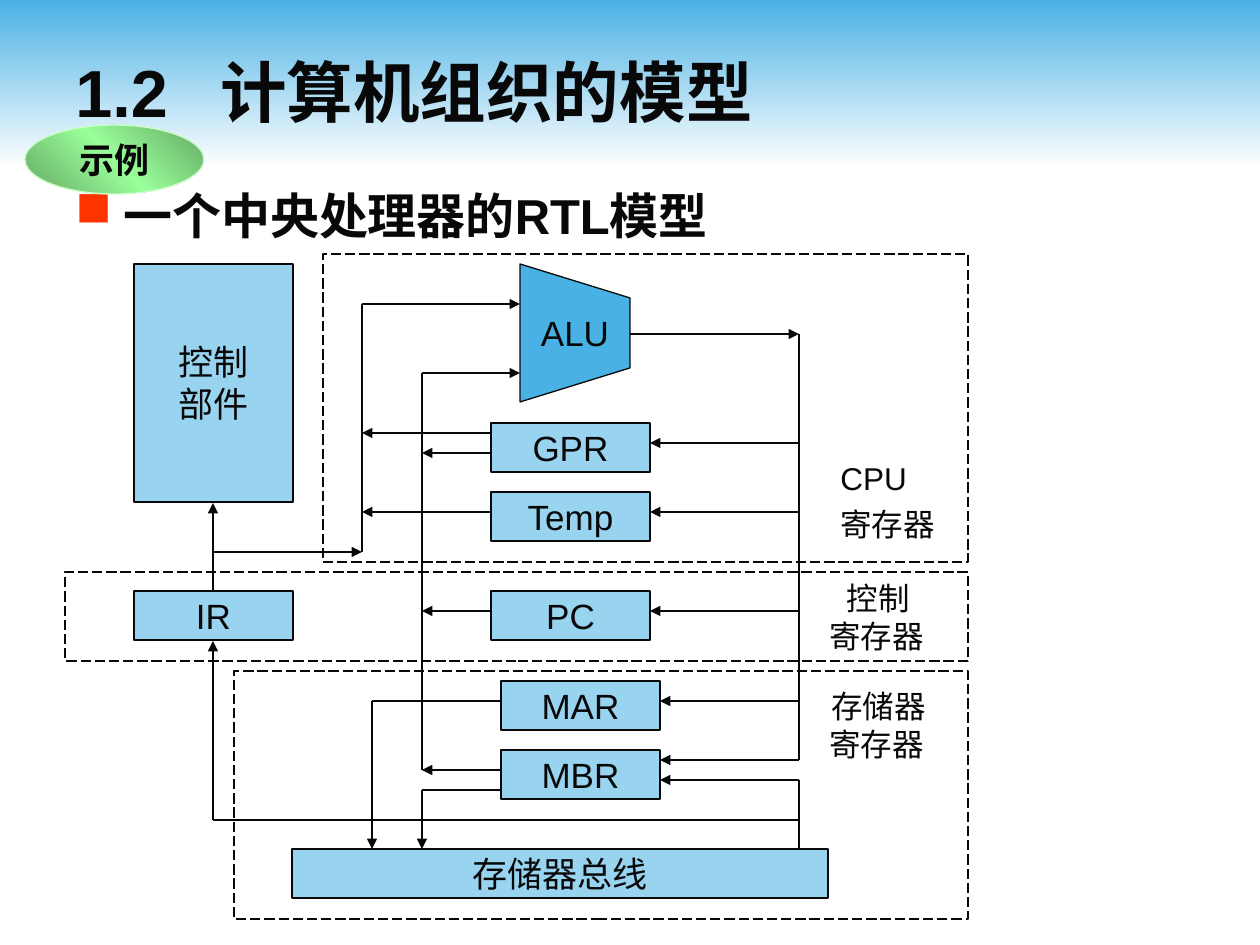
from pptx import Presentation
from pptx.dml.color import RGBColor
from pptx.enum.dml import MSO_LINE
from pptx.enum.shapes import MSO_CONNECTOR, MSO_SHAPE
from pptx.enum.text import MSO_ANCHOR, PP_ALIGN
from pptx.oxml import parse_xml
from pptx.oxml.ns import nsdecls
from pptx.util import Pt

SCALE = 914400 / 126
INK, PALE, BLUE, WHITE = "080808", "98D3F0", "4AB1E4", "FFFFFF"
LEFT_BUS, RIGHT_BUS, RESULT_BUS, IR_X, MAR_X = 362, 422, 799, 213, 372
REGISTER_SIZE = (159, 49)


def px(length):
    """Turn pixels into EMU."""
    return round(length * SCALE)


def color(value):
    """Turn a hex string into a colour."""
    return RGBColor.from_string(value)


def add_xml(parent, markup, index=None):
    """Insert a DrawingML element into a parent, at its end by default."""
    tag, rest = markup[1:].split(" ", 1) if " " in markup else (markup[1:-2], "/>")
    element = parse_xml(f"<{tag} {nsdecls('a')} {rest}")
    parent.insert(len(parent) if index is None else index, element)


def set_gradient(shape, stops, angle):
    """Fill a shape with a linear gradient."""
    stop_xml = "".join(
        f'<a:gs pos="{position * 1000}"><a:srgbClr val="{value}"/></a:gs>'
        for position, value in stops
    )
    markup = (
        f'<a:gradFill rotWithShape="1"><a:gsLst>{stop_xml}</a:gsLst>'
        f'<a:lin ang="{angle * 60000}" scaled="0"/></a:gradFill>'
    )
    add_xml(shape._element.spPr, markup, 2)


def set_outline(shape, value=INK):
    """Give a shape a thin outline and no shadow."""
    shape.shadow.inherit = False
    shape.line.color.rgb = color(value)
    shape.line.width = Pt(0.75)


def format_font(paragraph, size, bold=False, name="Arial"):
    """Style the runs of a paragraph."""
    for run in paragraph.runs:
        run.font.size = Pt(size)
        run.font.bold = bold
        run.font.name = name
        run.font.color.rgb = color(INK)


def set_caption(shape, text, **font):
    """Write centred, unwrapped text in a shape."""
    frame = shape.text_frame
    frame.text = text
    frame.word_wrap = False
    frame.vertical_anchor = MSO_ANCHOR.MIDDLE
    for paragraph in frame.paragraphs:
        paragraph.alignment = PP_ALIGN.CENTER
        format_font(paragraph, 20, **font)


def add_preset(slide, preset, left, top, width, height):
    """Add a preset shape placed in pixels."""
    return slide.shapes.add_shape(preset, px(left), px(top), px(width), px(height))


def add_block(slide, text, left, top, width, height):
    """Add a pale captioned block."""
    block = add_preset(slide, MSO_SHAPE.RECTANGLE, left, top, width, height)
    block.fill.solid()
    block.fill.fore_color.rgb = color(PALE)
    set_outline(block)
    set_caption(block, text)


def add_alu(slide):
    """Add the ALU trapezoid."""
    builder = slide.shapes.build_freeform(520, 402, scale=SCALE)
    builder.add_line_segments([(520, 264), (630, 298), (630, 368)], close=True)
    alu = builder.convert_to_shape()
    alu.fill.solid()
    alu.fill.fore_color.rgb = color(BLUE)
    set_outline(alu)
    set_caption(alu, "ALU")


def add_wire(slide, start, end, arrow=True):
    """Add a straight wire, with an arrowhead at its end by default."""
    points = [px(value) for value in (*start, *end)]
    wire = slide.shapes.add_connector(MSO_CONNECTOR.STRAIGHT, *points)
    wire.line.color.rgb = color(INK)
    wire.line.width = Pt(0.75)
    if arrow:
        add_xml(wire.line._get_or_add_ln(), '<a:tailEnd type="triangle"/>')
    add_xml(wire._element.spPr, "<a:effectLst/>")


def add_frame(slide, left, top, width, height):
    """Add a dashed frame around a group of registers."""
    frame = add_preset(slide, MSO_SHAPE.RECTANGLE, left, top, width, height)
    frame.fill.background()
    set_outline(frame)
    frame.line.dash_style = MSO_LINE.LONG_DASH


def add_text(slide, text, left, top, width, height, size, bold=False):
    """Add a wrapping text box and return its text frame."""
    box = slide.shapes.add_textbox(px(left), px(top), px(width), px(height))
    frame = box.text_frame
    frame.word_wrap = True
    frame.text = text
    for paragraph in frame.paragraphs:
        format_font(paragraph, size, bold)
    return frame


def add_headings(slide):
    """Add the title band, the title and the bullet line."""
    band = add_preset(slide, MSO_SHAPE.RECTANGLE, 0, 0, 1260, 168)
    band.shadow.inherit = False
    band.line.fill.background()
    set_gradient(band, [(0, BLUE), (100, WHITE)], 90)

    title = add_text(slide, "1.2\t计算机组织的模型", 63, 31, 1134, 120, 38, True)
    title.vertical_anchor = MSO_ANCHOR.MIDDLE
    tab = f'<a:tabLst ><a:tab pos="{px(145)}" algn="l"/></a:tabLst>'
    add_xml(title.paragraphs[0]._p.get_or_add_pPr(), tab)

    body = add_text(slide, "一个中央处理器的RTL模型", 63, 179, 1134, 693, 28, True)
    properties = body.paragraphs[0]._p.get_or_add_pPr()
    properties.set("marL", str(px(48)))
    properties.set("indent", str(px(-48)))
    add_xml(properties, '<a:buClr ><a:srgbClr val="FF3300"/></a:buClr>')
    add_xml(properties, '<a:buChar char="■"/>')


def add_wires(slide):
    """Add the buses and the wires that join them to the registers."""
    for start, end in [
        ((LEFT_BUS, 304), (LEFT_BUS, 552)),
        ((RIGHT_BUS, 373), (RIGHT_BUS, 770)),
        ((RESULT_BUS, 334), (RESULT_BUS, 760)),
        ((RESULT_BUS, 849), (RESULT_BUS, 780)),
        ((RESULT_BUS, 820), (IR_X, 820)),
        ((MAR_X, 701), (501, 701)),
        ((501, 790), (RIGHT_BUS, 790)),
    ]:
        add_wire(slide, start, end, arrow=False)
    for start_x, end_x, rows in [
        (LEFT_BUS, 520, [304]),
        (RIGHT_BUS, 520, [373]),
        (630, RESULT_BUS, [334]),
        (IR_X, LEFT_BUS, [552]),
        (491, LEFT_BUS, [433, 512]),
        (491, RIGHT_BUS, [453, 611]),
        (501, RIGHT_BUS, [770]),
        (RESULT_BUS, 650, [443, 512, 611]),
        (RESULT_BUS, 660, [701, 760, 780]),
    ]:
        for y in rows:
            add_wire(slide, (start_x, y), (end_x, y))
    for x, start_y, end_y in [
        (IR_X, 591, 503),
        (IR_X, 820, 641),
        (MAR_X, 701, 849),
        (RIGHT_BUS, 790, 849),
    ]:
        add_wire(slide, (x, start_y), (x, end_y))


def add_register_groups(slide):
    """Add the dashed frames and their labels."""
    add_frame(slide, 323, 254, 645, 308)
    add_frame(slide, 65, 572, 903, 89)
    add_frame(slide, 234, 671, 734, 248)
    label = add_text(slide, "CPU\n寄存器", 828, 453, 139, 97, 18)
    label.paragraphs[1].space_before = Pt(4.5)
    for kind, top in [("控制", 573), ("存储器", 681)]:
        label = add_text(slide, f"{kind}\n寄存器", 809, top, 139, 88, 18)
        first, second = label.paragraphs
        first.alignment = PP_ALIGN.CENTER
        second._p.get_or_add_pPr().set("marL", str(px(8)))


def add_badge(slide):
    """Add the green example badge."""
    badge = add_preset(slide, MSO_SHAPE.OVAL, 25, 125, 179, 69)
    set_gradient(badge, [(0, "64A764"), (50, "99FF99"), (100, "64A764")], 135)
    set_outline(badge, "CCFFCC")
    set_caption(badge, "示例", bold=True, name="Times New Roman")


def main():
    """Build the slide and save it."""
    presentation = Presentation()
    presentation.slide_width, presentation.slide_height = px(1260), px(945)
    slide = presentation.slides.add_slide(presentation.slide_layouts[6])
    add_headings(slide)
    add_block(slide, "控制\n部件", 134, 264, 159, 238)
    for name, left, top in [
        ("IR", 134, 591), ("PC", 491, 591), ("MAR", 501, 681),
        ("MBR", 501, 750), ("GPR", 491, 423), ("Temp", 491, 492),
    ]:
        add_block(slide, name, left, top, *REGISTER_SIZE)
    add_alu(slide)
    add_block(slide, "存储器总线", 292, 849, 536, 49)
    add_wires(slide)
    add_register_groups(slide)
    add_badge(slide)
    presentation.save("out.pptx")


if __name__ == "__main__":
    main()
